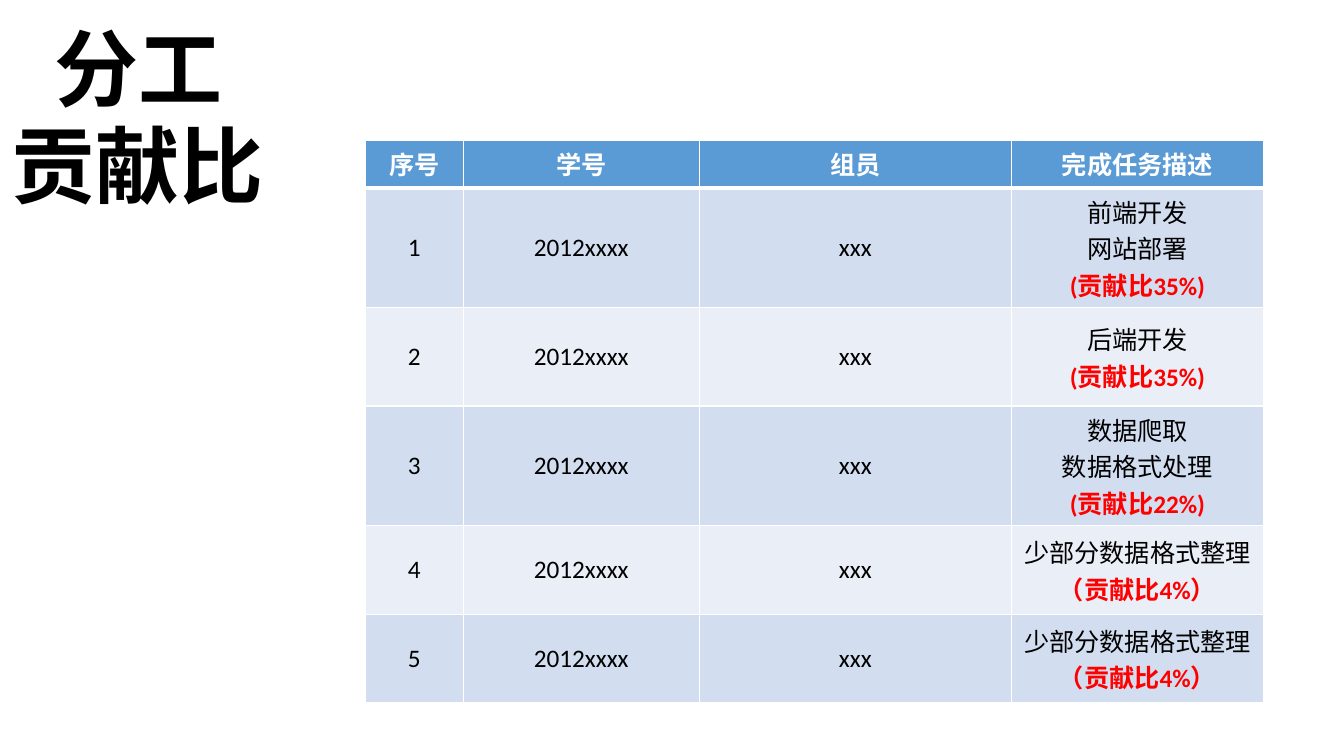
from lxml import etree
from pptx import Presentation, util as u
from pptx.dml.color import RGBColor
from pptx.enum import lang, text
from pptx.oxml.ns import qn

COLORS = {"header": "5B9BD5", "odd": "D2DEEF", "even": "EAEFF7",
          "white": "FFFFFF", "black": "000000", "red": "FF0000"}
TITLES = [("分工", 1.12, 0.3, 4.78), ("贡献比", 0.05, 2.74, 6.93)]
TITLE_HEIGHT = 2.82
HEADERS = ["序号", "学号", "组员", "完成任务描述"]
TASKS = [
    (["前端开发", "网站部署"], "(贡献比35%)"),
    (["后端开发"], "(贡献比35%)"),
    (["数据爬取", "数据格式处理"], "(贡献比22%)"),
    (["少部分数据格式整理"], "（贡献比4%）"),
    (["少部分数据格式整理"], "（贡献比4%）"),
]
TABLE_LEFT, TABLE_TOP = 9.2, 3.54
COLUMN_WIDTHS = [2.48, 5.94, 7.87, 6.35]
ROW_HEIGHTS = [1.19, 3.02, 2.48, 3.02, 2.23, 2.23]


def color(name):
    return RGBColor.from_string(COLORS[name])


def style_para(para, font_name, size, color_name, bold):
    font = para.font
    font.name, font.size, font.bold = font_name, u.Pt(size), bold
    font.color.rgb = color(color_name)
    font.language_id = lang.MSO_LANGUAGE_ID.SIMPLIFIED_CHINESE


def set_borders(cell, bottom_width):
    """Draw white borders; they go before the cell's fill in the XML."""
    properties = cell._tc.get_or_add_tcPr()
    widths = {"a:lnL": 1, "a:lnR": 1, "a:lnT": 1, "a:lnB": bottom_width}
    for place, (tag, width) in enumerate(widths.items()):
        line = etree.Element(qn(tag), w=str(u.Pt(width)))
        fill = etree.SubElement(line, qn("a:solidFill"))
        etree.SubElement(fill, qn("a:srgbClr"), val=COLORS["white"])
        properties.insert(place, line)


def fill_cell(cell, lines, fill_name, header):
    """Write (text, color, bold) lines, one paragraph each."""
    cell.fill.solid()
    cell.fill.fore_color.rgb = color(fill_name)
    set_borders(cell, 3 if header else 1)
    if not header:
        cell.vertical_anchor = text.MSO_ANCHOR.MIDDLE
    cell.text_frame.text = "\n".join(line[0] for line in lines)
    for para, (_, color_name, bold) in zip(cell.text_frame.paragraphs, lines):
        para.alignment = text.PP_ALIGN.CENTER
        style_para(para, "Calibri", 18, color_name, bold)


def add_title(page, words, left, top, width):
    box = page.shapes.add_textbox(u.Cm(left), u.Cm(top), u.Cm(width), u.Cm(TITLE_HEIGHT))
    box.text_frame.word_wrap = False
    box.text_frame.auto_size = text.MSO_AUTO_SIZE.SHAPE_TO_FIT_TEXT
    para = box.text_frame.paragraphs[0]
    para.text = words
    style_para(para, "Noto Sans CJK SC", 60, "black", True)


def add_task_table(page):
    frame = page.shapes.add_table(
        len(ROW_HEIGHTS), len(COLUMN_WIDTHS), u.Cm(TABLE_LEFT), u.Cm(TABLE_TOP),
        u.Cm(sum(COLUMN_WIDTHS)), u.Cm(sum(ROW_HEIGHTS)))
    table = frame.table
    for column, width in zip(table.columns, COLUMN_WIDTHS):
        column.width = u.Cm(width)
    for row, height in zip(table.rows, ROW_HEIGHTS):
        row.height = u.Cm(height)
    for cell, words in zip(table.rows[0].cells, HEADERS):
        fill_cell(cell, [(words, "white", True)], "header", True)
    for number, (duties, share) in enumerate(TASKS, 1):
        entries = [[(words, "black", False)] for words in (str(number), "2012xxxx", "xxx")]
        entries.append([(duty, "black", False) for duty in duties] + [(share, "red", True)])
        for cell, lines in zip(table.rows[number].cells, entries):
            fill_cell(cell, lines, "odd" if number % 2 else "even", False)


def main():
    deck = Presentation()
    deck.slide_width, deck.slide_height = u.Cm(33.87), u.Cm(19.05)
    page = deck.slides.add_slide(deck.slide_layouts[6])
    add_task_table(page)
    for words, left, top, width in TITLES:
        add_title(page, words, left, top, width)
    deck.save("out.pptx")


if __name__ == "__main__":
    main()
